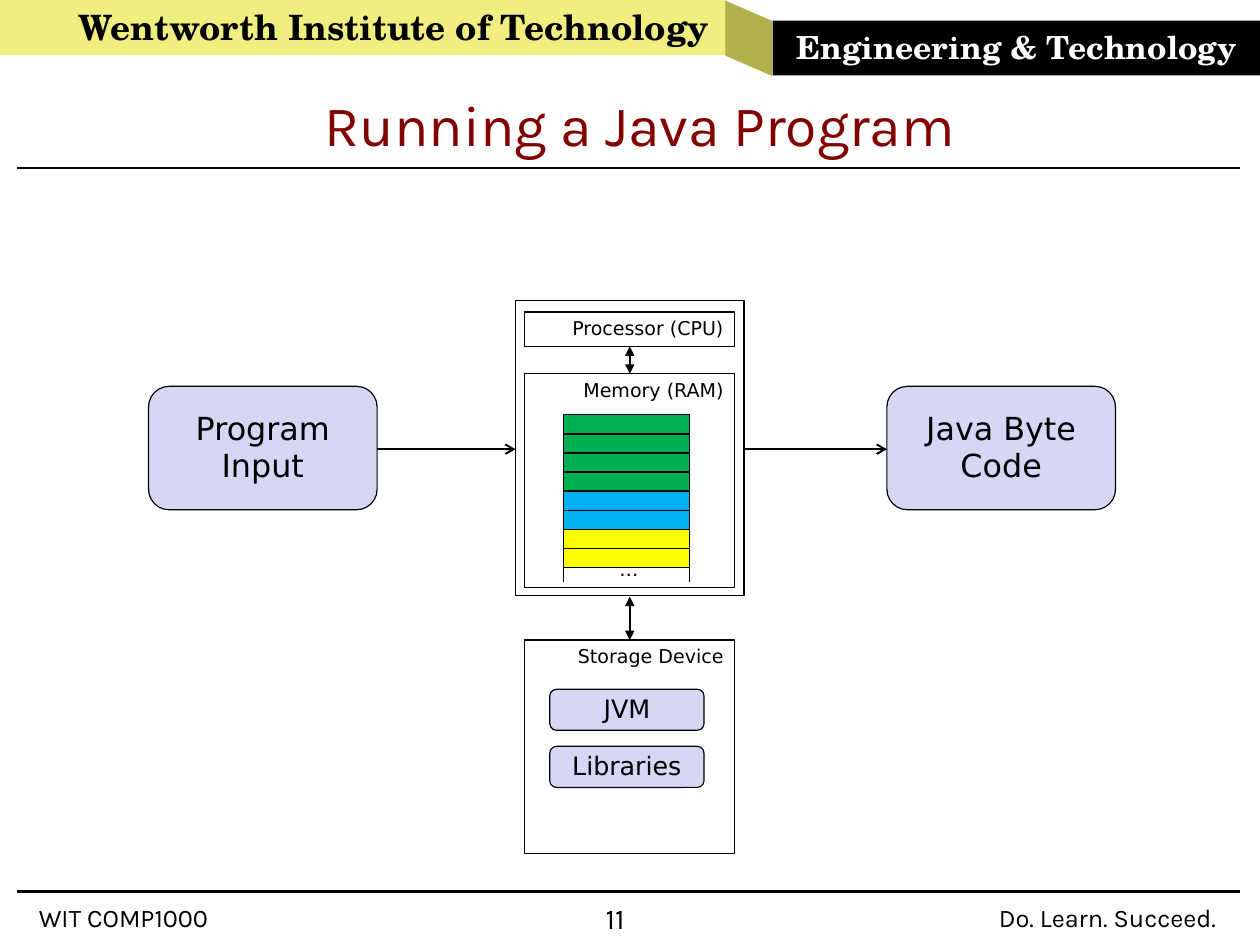
from dataclasses import dataclass
from typing import Optional

from lxml.etree import SubElement
from pptx import Presentation
from pptx.dml.color import RGBColor
from pptx.enum.shapes import MSO_CONNECTOR, MSO_SHAPE
from pptx.enum.text import MSO_ANCHOR, PP_ALIGN
from pptx.oxml.ns import qn
from pptx.util import Inches, Pt

COLORS = {
    "black": "000000",
    "white": "FFFFFF",
    "maroon": "820000",
    "banner": "E3DE00",
    "fold": "928F00",
    "lavender": "D6D6F5",
    "green": "00B050",
    "blue": "00B0F0",
    "yellow": "FFFF00",
}
CENTIMETERS_PER_INCH = 2.54
PAGE_SIZE = {
    "slide_width": Inches(28 / CENTIMETERS_PER_INCH),
    "slide_height": Inches(21 / CENTIMETERS_PER_INCH),
}
BODY, BRAND, DIAGRAM = "Karla", "TeX Gyre Schola", "DejaVu Sans"
LEFT, CENTER, RIGHT = PP_ALIGN.LEFT, PP_ALIGN.CENTER, PP_ALIGN.RIGHT
TOP, MIDDLE = MSO_ANCHOR.TOP, MSO_ANCHOR.MIDDLE
RECT, ROUND = MSO_SHAPE.RECTANGLE, MSO_SHAPE.ROUNDED_RECTANGLE
SLOT_PITCH = 1 / 6
SLOT_COLORS = ["green"] * 4 + ["blue"] * 2 + ["yellow"] * 2


@dataclass
class Label:
    words: str
    size: float
    font: str = DIAGRAM
    color: str = "black"
    bold: bool = False
    align: PP_ALIGN = CENTER
    anchor: MSO_ANCHOR = MIDDLE
    spacing: float = 0.98
    insets: tuple = (0.1, 0.05, 0.1, 0.05)
    wrap: bool = True


@dataclass
class Block:
    place: tuple
    fill: str = "white"
    label: Optional[Label] = None
    kind: MSO_SHAPE = RECT
    outline: Optional[str] = "black"
    opacity: int = 100
    rotation: float = 0
    adjustment: Optional[float] = None


@dataclass
class Caption:
    place: tuple
    label: Label


@dataclass
class Line:
    start: tuple
    end: tuple
    width: float
    head: Optional[str] = None
    tail: Optional[str] = None


def color_of(name: str) -> RGBColor:
    return RGBColor.from_string(COLORS[name])


def apply(target, values: dict) -> None:
    for name, value in values.items():
        setattr(target, name, value)


def write(box, label: Label) -> None:
    frame = box.text_frame
    sides = ("margin_left", "margin_top", "margin_right", "margin_bottom")
    apply(frame, dict(zip(sides, map(Inches, label.insets))))
    apply(frame, {"word_wrap": label.wrap, "vertical_anchor": label.anchor})
    para = frame.paragraphs[0]
    apply(para, {"alignment": label.align, "line_spacing": label.spacing})
    span = para.add_run()
    span.text = label.words
    apply(span.font, {"name": label.font, "size": Pt(label.size), "bold": label.bold})
    span.font.color.rgb = color_of(label.color)


def draw_block(page, block: Block) -> None:
    box = page.shapes.add_shape(block.kind, *map(Inches, block.place))
    box.shadow.inherit = False
    box.rotation = block.rotation
    if block.adjustment is not None:
        box.adjustments[0] = block.adjustment
    box.fill.solid()
    box.fill.fore_color.rgb = color_of(block.fill)
    if block.opacity < 100:
        tint = next(box.element.spPr.iter(qn("a:srgbClr")))
        SubElement(tint, qn("a:alpha"), val=str(block.opacity * 1000))
    if block.outline:
        box.line.color.rgb = color_of(block.outline)
        box.line.width = Pt(0.75)
    else:
        box.line.fill.background()
    if block.label:
        write(box, block.label)


def draw_caption(page, caption: Caption) -> None:
    write(page.shapes.add_textbox(*map(Inches, caption.place)), caption.label)


def draw_line(page, line: Line) -> None:
    connector = page.shapes.add_connector(
        MSO_CONNECTOR.STRAIGHT, *map(Inches, line.start + line.end)
    )
    connector.line.color.rgb = color_of("black")
    connector.line.width = Pt(line.width)
    properties = connector.element.spPr
    stroke = properties.find(qn("a:ln"))
    for end, arrow in (("a:headEnd", line.head), ("a:tailEnd", line.tail)):
        if arrow:
            SubElement(stroke, qn(end), type=arrow)
    SubElement(properties, qn("a:effectLst"))


def footer(left: float, width: float, words: str, size: float = 16, top: float = 7.9) -> Caption:
    label = Label(words, size, BODY, align=LEFT, anchor=TOP, spacing=0.93, insets=(0, 0.02, 0, 0))
    return Caption((left, top, width, 0.28), label)


def rule(top: float) -> Line:
    return Line((0.15, top), (10.85, top), 1.5)


def component(top: float, height: float, words: str, anchor: MSO_ANCHOR = TOP) -> Block:
    return Block((4.59, top, 1.84, height), label=Label(words, 12, align=RIGHT, anchor=anchor))


def endpoint(left: float, words: str) -> Block:
    return Block((left, 3.38, 2, 1.08), "lavender", Label(words, 20), ROUND)


def stored(top: float, words: str) -> Block:
    return Block((4.81, top, 1.35, 0.36), "lavender", Label(words, 16), ROUND)


def exchange(top: float, bottom: float) -> Line:
    return Line((5.51, top), (5.51, bottom), 1, "triangle", "triangle")


def flow(left: float, right: float) -> Line:
    return Line((left, 3.93), (right, 3.93), 1.25, tail="arrow")


def memory_edge(left: float) -> Line:
    return Line((left, 4.88), (left, 5.09), 0.75)


SCHOOL = Label("Wentworth Institute of Technology", 22, BRAND, bold=True, align=LEFT,
               insets=(0.69, 0.06, 0.1, 0.05))
DEPARTMENT = Label("Engineering & Technology", 20, BRAND, "white", True)
TITLE = Label("Running a Java Program", 36, BODY, "maroon", spacing=1.17, insets=(0, 0, 0, 0))
ELLIPSIS = Label("…", 12, align=LEFT, anchor=TOP, wrap=False)

ITEMS = [
    rule(7.8),
    footer(0.34, 1.93, "WIT COMP1000"),
    footer(5.3, 0.4, "11", 18, 7.89),
    Block((0, 0, 6.35, 0.48), "banner", SCHOOL, outline=None, opacity=50),
    Block((6.22, 0.13, 0.66, 0.41), "fold", kind=MSO_SHAPE.PARALLELOGRAM, outline=None,
          opacity=70, rotation=90, adjustment=0.434),
    Block((6.76, 0.18, 4.27, 0.48), "black", DEPARTMENT, outline=None),
    footer(8.74, 2.1, "Do. Learn. Succeed."),
    rule(1.47),
    Caption((1.35, 0.34, 8.5, 1.38), TITLE),
    Block((4.51, 2.63, 2, 2.58)),
    component(2.73, 0.3, "Processor (CPU)", MIDDLE),
    component(3.27, 1.87, "Memory (RAM)"),
    exchange(3.03, 3.27),
    *(Block((4.93, 3.63 + row * SLOT_PITCH, 1.1, SLOT_PITCH), color)
      for row, color in enumerate(SLOT_COLORS)),
    memory_edge(4.93),
    Caption((5.32, 4.84, 0.34, 0.3), ELLIPSIS),
    memory_edge(6.03),
    endpoint(1.3, "Program Input"),
    flow(3.3, 4.51),
    flow(6.51, 7.76),
    endpoint(7.76, "Java Byte Code"),
    component(5.6, 1.87, "Storage Device"),
    exchange(5.22, 5.6),
    stored(6.03, "JVM"),
    stored(6.53, "Libraries"),
]
DRAWERS = {Block: draw_block, Caption: draw_caption, Line: draw_line}


def main() -> None:
    deck = Presentation()
    apply(deck, PAGE_SIZE)
    page = deck.slides.add_slide(deck.slide_layouts[6])
    for item in ITEMS:
        DRAWERS[type(item)](page, item)
    deck.save("out.pptx")


if __name__ == "__main__":
    main()
